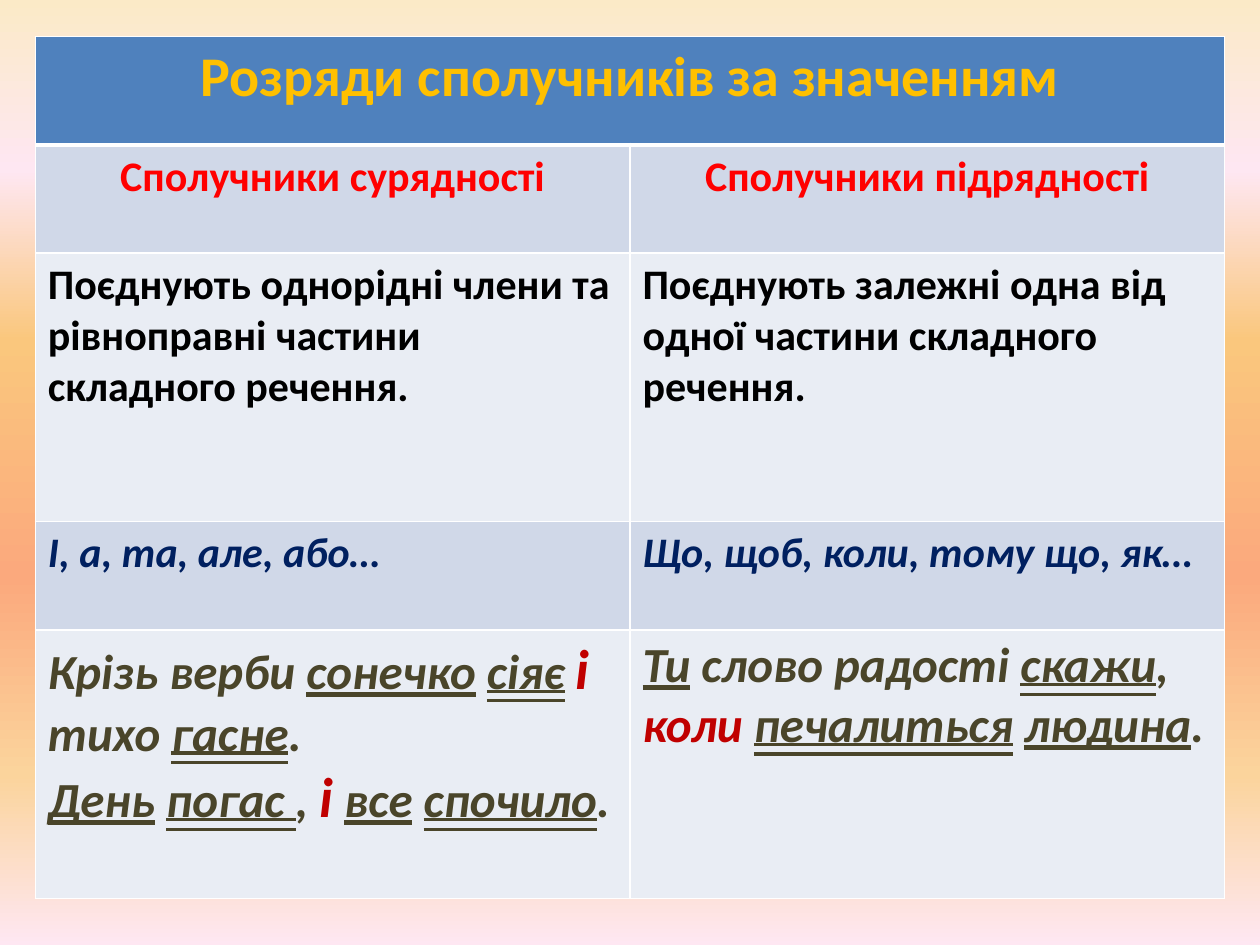
from lxml import etree
from pptx import Presentation
from pptx.dml.color import RGBColor
from pptx.enum.text import MSO_TEXT_UNDERLINE_TYPE, PP_ALIGN
from pptx.oxml.ns import qn
from pptx.util import Inches, Pt

CENTER, LEFT = PP_ALIGN.CENTER, PP_ALIGN.LEFT
SINGLE = MSO_TEXT_UNDERLINE_TYPE.SINGLE_LINE
DOUBLE = MSO_TEXT_UNDERLINE_TYPE.DOUBLE_LINE

WHITE = RGBColor(0xFF, 0xFF, 0xFF)
BLACK = RGBColor(0x00, 0x00, 0x00)
GOLD = RGBColor(0xFF, 0xC0, 0x00)
RED = RGBColor(0xFF, 0x00, 0x00)
CRIMSON = RGBColor(0xC0, 0x00, 0x00)
NAVY = RGBColor(0x00, 0x20, 0x60)
OLIVE = RGBColor(0x4A, 0x45, 0x2A)
HEADER_FILL = RGBColor(0x4F, 0x81, 0xBD)
DARK_BAND = RGBColor(0xD0, 0xD8, 0xE8)
LIGHT_BAND = RGBColor(0xE9, 0xED, 0xF4)

BACKGROUND_STOPS = [
    (0, RGBColor(0xFB, 0xEA, 0xC7)), (18, RGBColor(0xFE, 0xE7, 0xF2)),
    (36, RGBColor(0xFA, 0xC7, 0x7D)), (61, RGBColor(0xFB, 0xA9, 0x7D)),
    (82, RGBColor(0xFB, 0xD4, 0x9C)), (100, RGBColor(0xFE, 0xE7, 0xF2)),
]

FONT = "Calibri"
WIDTH, HEIGHT = 10, 7.5
TABLE_LEFT, TABLE_TOP, COLUMN_WIDTH = 0.28, 0.29, 4.72
SHORT_ROW, TALL_ROW = 0.86, 2.13
ROW_HEIGHTS = [SHORT_ROW, SHORT_ROW, TALL_ROW, SHORT_ROW, TALL_ROW]

# Text styles: size, colour, italic, underline
TITLE = (32, GOLD, False, None)
HEADING = (24, RED, False, None)
BODY = (24, BLACK, False, None)
WORDS = (24, NAVY, True, None)
PLAIN = (28, OLIVE, True, None)
SUBJECT = (28, OLIVE, True, SINGLE)
PREDICATE = (28, OLIVE, True, DOUBLE)
LINK = (28, CRIMSON, True, None)
BIG_LINK = (32, CRIMSON, True, None)

# Each cell is a list of paragraphs, each paragraph a list of runs
COORDINATING_EXAMPLES = [
    [("Крізь верби ", PLAIN), ("сонечко", SUBJECT), (" ", PLAIN),
     ("сіяє", PREDICATE), (" ", PLAIN), ("і ", BIG_LINK), ("тихо ", PLAIN),
     ("гасне", PREDICATE), (".", PLAIN)],
    [("День", SUBJECT), (" ", PLAIN), ("погас ", PREDICATE), (", ", PLAIN),
     ("і", BIG_LINK), (" ", PLAIN), ("все", SUBJECT), (" ", PLAIN),
     ("спочило", PREDICATE), (".", PLAIN)],
]
SUBORDINATING_EXAMPLES = [
    [("Ти", SUBJECT), (" слово радості ", PLAIN), ("скажи", PREDICATE),
     (", ", PLAIN), ("коли ", LINK), ("печалиться", PREDICATE), (" ", PLAIN),
     ("людина", SUBJECT), (".", PLAIN)],
]
# Each row: fill, alignment, cells
ROWS = [
    (HEADER_FILL, CENTER, [[[("Розряди сполучників за значенням", TITLE)]]]),
    (DARK_BAND, CENTER, [[[("Сполучники сурядності", HEADING)]],
                         [[("Сполучники підрядності", HEADING)]]]),
    (LIGHT_BAND, LEFT, [
        [[("Поєднують однорідні члени та рівноправні частини "
           "складного речення.", BODY)]],
        [[("Поєднують залежні одна від одної частини складного речення.",
           BODY)]]]),
    (DARK_BAND, LEFT, [[[("І, а, та, але, або…", WORDS)]],
                       [[("Що, щоб, коли, тому що, як…", WORDS)]]]),
    (LIGHT_BAND, LEFT, [COORDINATING_EXAMPLES, SUBORDINATING_EXAMPLES]),
]


def paint_background(page):
    """Fill the page with a gradient running from top to bottom."""
    fill = page.background.fill
    fill.gradient()
    fill.gradient_angle = 270
    stop_list = page.background._cSld.find(".//" + qn("a:gsLst"))
    for stop in list(stop_list):
        stop_list.remove(stop)
    for percent, color in BACKGROUND_STOPS:
        stop = etree.SubElement(stop_list, qn("a:gs"), pos=str(percent * 1000))
        etree.SubElement(stop, qn("a:srgbClr"), val=str(color))


def add_borders(cell, top, bottom):
    """Draw white cell edges; widths are in points."""
    properties = cell._tc.get_or_add_tcPr()
    for side, width in (("L", 1), ("R", 1), ("T", top), ("B", bottom)):
        line = etree.SubElement(properties, qn("a:ln" + side), w=str(Pt(width)))
        solid = etree.SubElement(line, qn("a:solidFill"))
        etree.SubElement(solid, qn("a:srgbClr"), val=str(WHITE))


def add_span(para, text, style):
    span = para.add_run()
    span.text = text
    size, color, italic, underline = style
    font = span.font
    font.name, font.size, font.bold = FONT, Pt(size), True
    font.italic, font.underline = italic, underline
    font.color.rgb = color


def write_cell(cell, paragraphs, align):
    frame = cell.text_frame
    for index, spans in enumerate(paragraphs):
        para = frame.add_paragraph() if index else frame.paragraphs[0]
        para.alignment = align
        for text, style in spans:
            add_span(para, text, style)


def add_conjunction_table(page):
    table = page.shapes.add_table(
        len(ROWS), 2, Inches(TABLE_LEFT), Inches(TABLE_TOP),
        Inches(2 * COLUMN_WIDTH), Inches(sum(ROW_HEIGHTS))).table
    for column in table.columns:
        column.width = Inches(COLUMN_WIDTH)
    table.cell(0, 0).merge(table.cell(0, 1))
    for index, (fill, align, contents) in enumerate(ROWS):
        table.rows[index].height = Inches(ROW_HEIGHTS[index])
        for cell in table.rows[index].cells:
            # The heavier line separates the title from the rest
            add_borders(cell, 3 if index == 1 else 1, 3 if index == 0 else 1)
            cell.fill.solid()
            cell.fill.fore_color.rgb = fill
        for column, paragraphs in enumerate(contents):
            write_cell(table.cell(index, column), paragraphs, align)


def main():
    deck = Presentation()
    deck.slide_width, deck.slide_height = Inches(WIDTH), Inches(HEIGHT)
    page = deck.slides.add_slide(deck.slide_layouts[6])
    paint_background(page)
    add_conjunction_table(page)
    deck.save("out.pptx")


if __name__ == "__main__":
    main()
